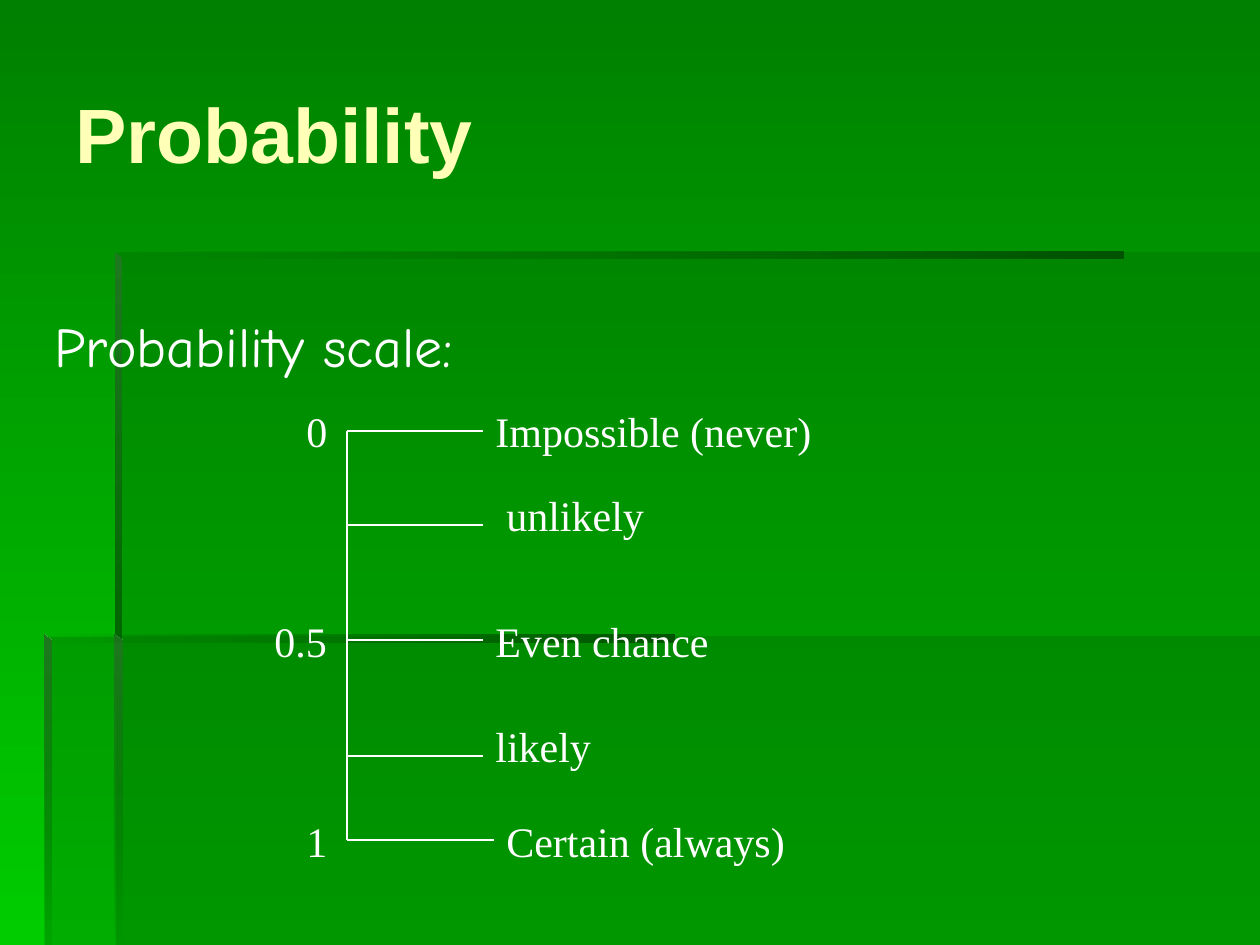
from lxml.etree import SubElement
from pptx import Presentation
from pptx.dml.color import RGBColor
from pptx.enum.shapes import MSO_CONNECTOR
from pptx.enum.text import MSO_ANCHOR
from pptx.oxml.ns import qn
from pptx.util import Emu, Pt

SCALE = 914400 / 126
COLOURS = {
    "top": "008000",
    "bottom": "00CC00",
    "panel": "006600",
    "shade": "005300",
    "edge": "1E781E",
    "title": "FFFFB7",
    "text": "FFFFFF",
}


def px(length):
    return Emu(round(length * SCALE))


class SlideBuilder:
    """Holds the style and the current slide, and adds each kind of element."""

    def __init__(self, deck):
        self.page = deck.slides.add_slide(deck.slide_layouts[6])
        self.shapes = self.page.shapes

    def colour(self, name):
        return RGBColor.from_string(COLOURS[name])

    def opacity(self, colour_element, percent):
        SubElement(colour_element, qn("a:alpha")).set("val", str(percent * 1000))

    def gradient(self, fill, start, end, angle, end_opacity=100):
        fill.gradient()
        fill.gradient_angle = angle
        for stop, name, position in zip(fill.gradient_stops, (start, end), (0, 1)):
            stop.color.rgb = self.colour(name)
            stop.position = position
        if end_opacity < 100:
            last = fill._fill._gradFill.findall(".//" + qn("a:srgbClr"))[-1]
            self.opacity(last, end_opacity)

    def background(self):
        self.gradient(self.page.background.fill, "top", "bottom", 270)

    def outline(self, points):
        builder = self.shapes.build_freeform(*points[0], scale=SCALE)
        builder.add_line_segments(points[1:], close=True)
        shape = builder.convert_to_shape()
        shape.shadow.inherit = False
        shape.line.fill.background()
        return shape

    def panel(self, points):
        shape = self.outline(points)
        shape.fill.solid()
        shape.fill.fore_color.rgb = self.colour("panel")
        self.opacity(shape._element.spPr.find(".//" + qn("a:srgbClr")), 30)

    def bar(self, points, start, angle, end_opacity):
        shape = self.outline(points)
        self.gradient(shape.fill, start, "panel", angle, end_opacity)

    def line(self, x1, y1, x2, y2):
        line = self.shapes.add_connector(
            MSO_CONNECTOR.STRAIGHT, px(x1), px(y1), px(x2), px(y2))
        line.line.color.rgb = self.colour("text")
        line.line.width = Pt(0.75)
        SubElement(line._element.spPr, qn("a:effectLst"))

    def text(self, words, left, top, width, height, font="Times New Roman",
             size=24, colour="text", bold=False, anchor=MSO_ANCHOR.TOP):
        box = self.shapes.add_textbox(px(left), px(top), px(width), px(height))
        frame = box.text_frame
        frame.word_wrap = True
        frame.vertical_anchor = anchor
        span = frame.paragraphs[0].add_run()
        span.text = words
        span.font.name = font
        span.font.size = Pt(size)
        span.font.bold = bold
        span.font.color.rgb = self.colour(colour)


def main():
    deck = Presentation()
    deck.slide_width, deck.slide_height = px(1260), px(945)
    slide = SlideBuilder(deck)
    slide.background()

    slide.panel([(116, 636), (116, 945), (1260, 945), (1260, 636)])
    slide.panel([(118, 637), (45, 637), (45, 945), (1260, 945),
                 (1260, 252), (118, 252)])

    def horizontal_bar(left, top, right):
        slide.bar([(left, top), (left, top + 7), (right, top + 7), (right, top)],
                  "shade", 180, 0)

    def vertical_bar(left, top, bottom, end_opacity):
        slide.bar([(left, top), (left, bottom), (left + 7, bottom),
                   (left + 7, top + 6)], "edge", 270, end_opacity)

    horizontal_bar(116, 252, 1124)
    vertical_bar(115, 252, 642, 100)
    vertical_bar(115, 635, 945, 0)
    horizontal_bar(44, 635, 674)
    vertical_bar(44, 635, 945, 10)

    slide.text("Probability", 63, 34, 1155, 198, "Arial", 44, "title", True,
               MSO_ANCHOR.MIDDLE)
    slide.text("Probability scale:", 42, 305, 1176, 567, "Comic Neue", 32)

    axis = 347
    slide.line(axis, 431, axis, 840)
    levels = [
        (431, 483, "Impossible (never)", 483, 399, 410),
        (525, 483, "unlikely", 494, 483, 378),
        (640, 483, "Even chance", 483, 609, 325),
        (756, 483, "likely", 483, 714, 294),
        (840, 494, "Certain (always)", 494, 809, 378),
    ]
    for tick, end, label, left, top, width in levels:
        slide.line(axis, tick, end, tick)
        slide.text(label, left, top, width, 63)
    for value, left, top, width in [("0", 294, 399, 63), ("0.5", 262, 609, 105),
                                    ("1", 294, 809, 63)]:
        slide.text(value, left, top, width, 63)

    deck.save("out.pptx")


if __name__ == "__main__":
    main()
